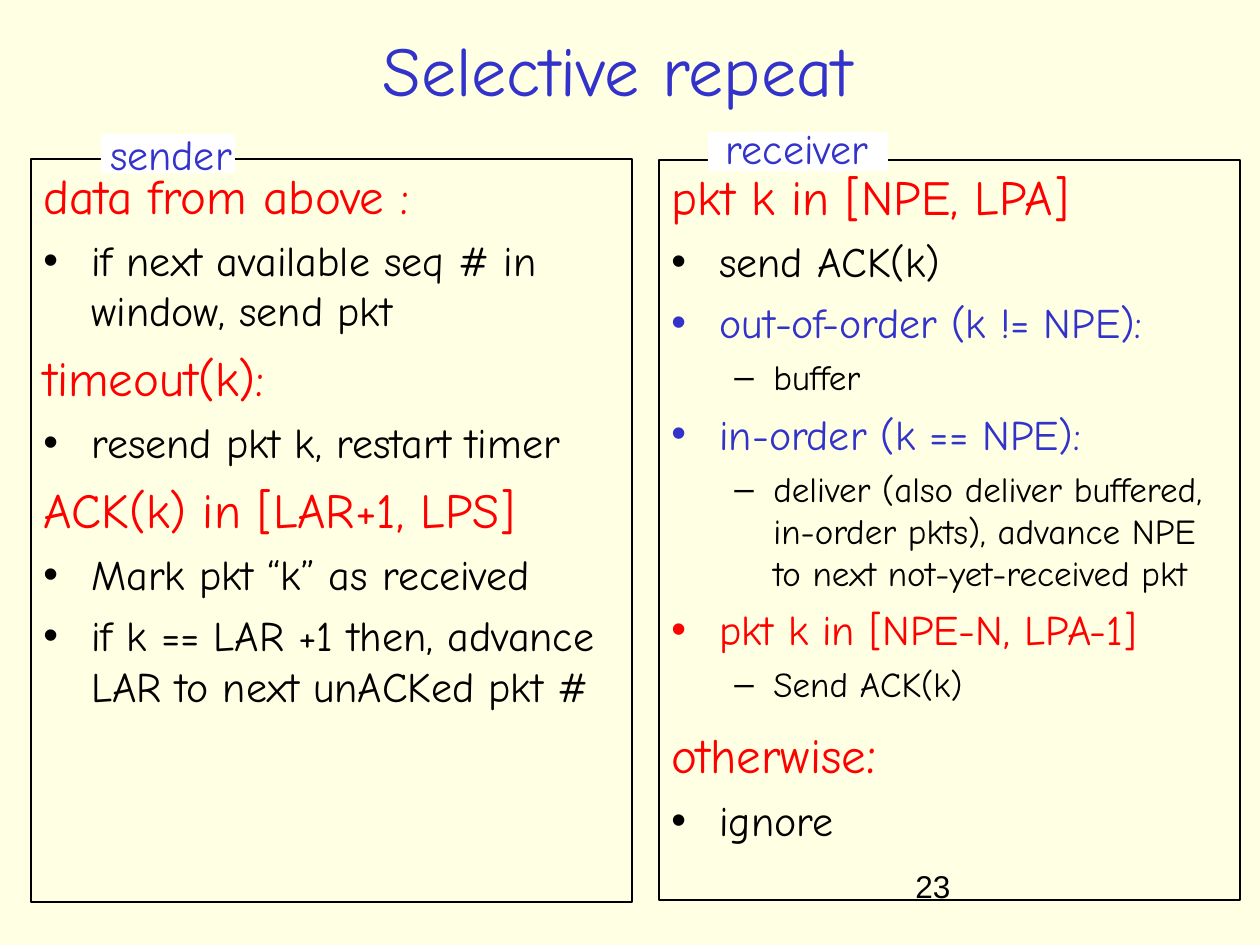
"""Build the selective repeat slide with sender and receiver rules."""
from lxml.etree import SubElement
from pptx import Presentation
from pptx.dml.color import RGBColor
from pptx.enum.shapes import MSO_SHAPE
from pptx.enum.text import MSO_ANCHOR, MSO_AUTO_SIZE, PP_ALIGN
from pptx.oxml.ns import qn
from pptx.util import Emu, Pt

SCALE = 914400 / 126
BLACK, BLUE, RED, WHITE = "000000", "3333CC", "FF0000", "FFFFFF"


def lengths(*pixels):
    return [Emu(round(pixel * SCALE)) for pixel in pixels]


def add_text(para, text, size, ink, font="Comic Neue"):
    span = para.add_run()
    span.text = text
    span.font.name = font
    span.font.size = Pt(size)
    span.font.color.rgb = RGBColor.from_string(ink)


deck = Presentation()
deck.slide_width, deck.slide_height = lengths(1260, 945)
page = deck.slides.add_slide(deck.slide_layouts[5])
page.background.fill.solid()
page.background.fill.fore_color.rgb = RGBColor.from_string("FFFFE3")

title = page.shapes.title
title.left, title.top, title.width, title.height = lengths(82, 29, 1071, 79)
title.text_frame.vertical_anchor = MSO_ANCHOR.MIDDLE
para = title.text_frame.paragraphs[0]
para.alignment = PP_ALIGN.CENTER
add_text(para, "Selective repeat", 40, BLUE)

levels = {
    "head": (28, 7, 48, -48, None),
    "item": (24, 6, 48, -48, "•"),
    "sub": (20, 5, 102, -39, "–"),
}
sender_rules = [
    ("head", RED, "data from above :"),
    ("item", BLACK, "if next available seq # in window, send pkt"),
    ("head", RED, "timeout(k):"),
    ("item", BLACK, "resend pkt k, restart timer"),
    ("head", RED, "ACK(k) in [LAR+1, LPS]"),
    ("item", BLACK, "Mark pkt “k” as received"),
    ("item", BLACK, "if k == LAR +1 then, advance LAR to next unACKed pkt # "),
]
receiver_rules = [
    ("head", RED, "pkt k in [NPE, LPA]"),
    ("item", BLACK, "send ACK(k)"),
    ("item", BLUE, "out-of-order (k != NPE):"),
    ("sub", BLACK, "buffer"),
    ("item", BLUE, "in-order (k == NPE):"),
    ("sub", BLACK, "deliver (also deliver buffered, in-order pkts), "
                   "advance NPE to next not-yet-received pkt"),
    ("item", RED, "pkt k in [NPE-N, LPA-1]"),
    ("sub", BLACK, "Send ACK(k)"),
    ("head", RED, "otherwise", ":"),
    ("item", BLACK, "ignore"),
]
panels = [
    ("sender", (31, 159, 601, 743), sender_rules,
     (101, 134, 134, 39), (91, 122, 160, 63)),
    ("receiver", (659, 160, 581, 740), receiver_rules,
     (708, 132, 180, 39), (707, 116, 180, 63)),
]
for name, panel_area, rules, patch_area, label_area in panels:
    panel = page.shapes.add_shape(MSO_SHAPE.RECTANGLE, *lengths(*panel_area))
    panel.shadow.inherit = False
    panel.fill.background()
    panel.line.color.rgb = RGBColor.from_string(BLACK)
    panel.line.width = Pt(0.74)
    frame = panel.text_frame
    frame.word_wrap = True
    frame.vertical_anchor = MSO_ANCHOR.TOP
    for index, (level, ink, *texts) in enumerate(rules):
        size, space, margin, indent, bullet = levels[level]
        para = frame.add_paragraph() if index else frame.paragraphs[0]
        para.alignment = PP_ALIGN.LEFT
        para.level = 1 if level == "sub" else 0
        para.space_before = Pt(space)
        properties = para._p.get_or_add_pPr()
        margin, indent = lengths(margin, indent)
        properties.set("marL", str(margin))
        properties.set("indent", str(indent))
        if bullet:
            bullet_color = SubElement(properties, qn("a:buClr"))
            SubElement(bullet_color, qn("a:srgbClr"), val=ink)
            SubElement(properties, qn("a:buFont"), typeface="Arial")
            SubElement(properties, qn("a:buChar"), char=bullet)
        for text in texts:
            add_text(para, text, 32 if text == ":" else size, ink)

    patch = page.shapes.add_shape(MSO_SHAPE.RECTANGLE, *lengths(*patch_area))
    patch.shadow.inherit = False
    patch.fill.solid()
    patch.fill.fore_color.rgb = RGBColor.from_string(WHITE)
    patch.line.fill.background()

    label = page.shapes.add_textbox(*lengths(*label_area))
    label.text_frame.word_wrap = False
    label.text_frame.auto_size = MSO_AUTO_SIZE.SHAPE_TO_FIT_TEXT
    para = label.text_frame.paragraphs[0]
    para.alignment = PP_ALIGN.CENTER
    add_text(para, name, 24, BLUE)

number = page.shapes.add_textbox(*lengths(903, 861, 262, 63))
number.text_frame.word_wrap = True
add_text(number.text_frame.paragraphs[0], "23", 18, BLACK, "Arial")

deck.save("out.pptx")
